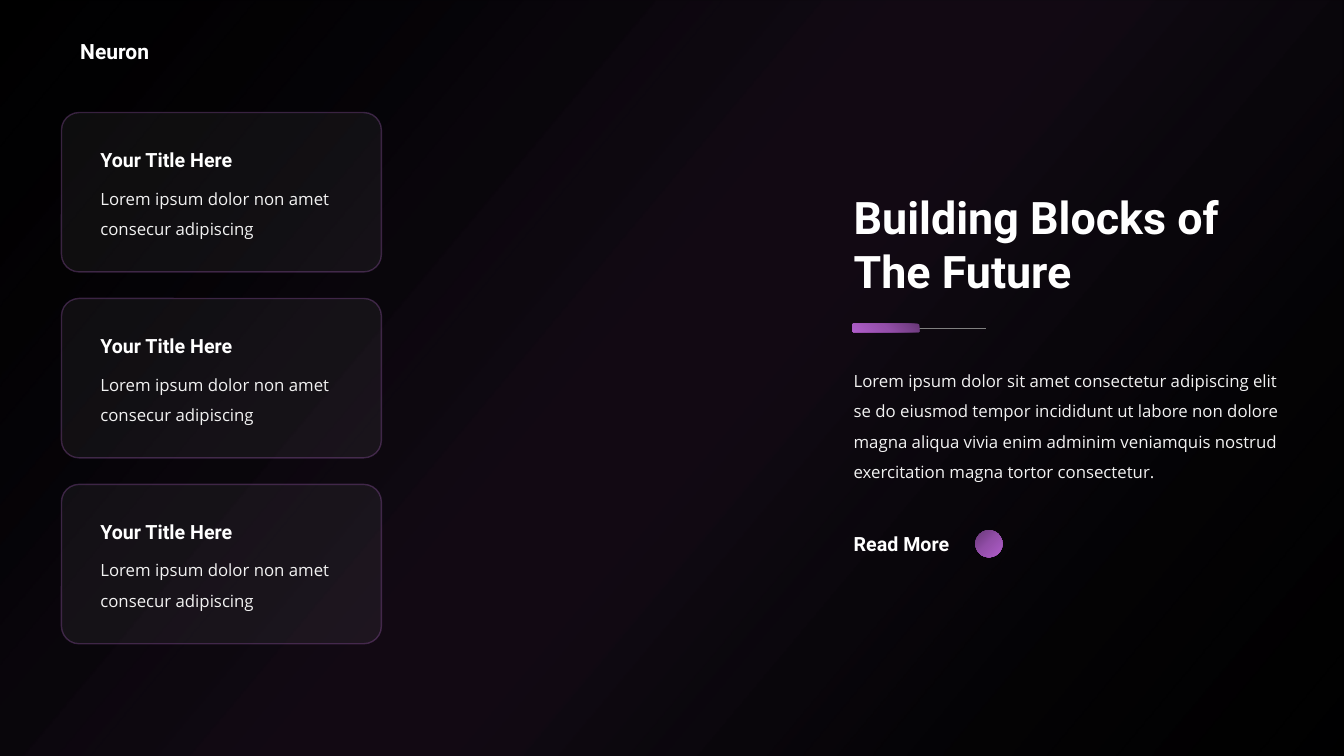
import pptx
import pptx.dml.color
import pptx.enum.dml
import pptx.enum.shapes
import pptx.enum.text
import pptx.oxml
import pptx.oxml.ns
import pptx.util

Pt = pptx.util.Pt
RGB = pptx.dml.color.RGBColor.from_string
SHAPES = pptx.enum.shapes.MSO_SHAPE
COLORS = {
    "black": "000000", "white": "FFFFFF", "body": "F2F2F2", "gray": "808080",
    "violet": "AC65C3", "indigo": "381F5F", "navy": "1F2232",
    "plum": "683878", "purple": "944FAA", "orchid": "B05ECA",
}
FORMATS = {
    "logo": {"name": "Roboto", "size": Pt(15), "bold": True},
    "heading": {"name": "Roboto", "size": Pt(32), "bold": True},
    "label": {"name": "Roboto", "size": Pt(14), "bold": True},
    "body": {"name": "Open Sans", "size": Pt(12), "bold": False},
}
# Gradient stops: position %, colour, opacity %
GLOW = [(2, "indigo", 0), (45, "violet", 10), (55, "violet", 10), (100, "navy", 0)]
ACCENT = [(0, "plum", 100), (50, "purple", 100), (100, "orchid", 100)]

presentation = pptx.Presentation()
presentation.slide_width, presentation.slide_height = Pt(960), Pt(540)
slide = presentation.slides.add_slide(presentation.slide_layouts[6])
slide.background.fill.solid()
slide.background.fill.fore_color.rgb = RGB(COLORS["black"])


def add_text(text, style, left, top, width, height):
    box = slide.shapes.add_textbox(Pt(left), Pt(top), Pt(width), Pt(height))
    box.text_frame.word_wrap = True
    box.text_frame.auto_size = pptx.enum.text.MSO_AUTO_SIZE.SHAPE_TO_FIT_TEXT
    paragraph = box.text_frame.paragraphs[0]
    run = paragraph.add_run()
    run.text = text
    for attribute, value in FORMATS[style].items():
        setattr(run.font, attribute, value)
    run.font.color.rgb = RGB(COLORS["body" if style == "body" else "white"])
    if style == "body":
        paragraph.line_spacing = 1.5


def add_gradient_shape(kind, left, top, width, height, stops, angle):
    """Add a shape without outline, filled by a linear gradient with opacity."""
    shape = slide.shapes.add_shape(kind, Pt(left), Pt(top), Pt(width), Pt(height))
    shape.shadow.inherit = False
    shape.line.fill.background()
    stop_xml = "".join(
        f'<a:gs pos="{position * 1000}"><a:srgbClr val="{COLORS[color]}">'
        f'<a:alpha val="{opacity * 1000}"/></a:srgbClr></a:gs>'
        for position, color, opacity in stops)
    gradient = pptx.oxml.parse_xml(
        f'<a:gradFill {pptx.oxml.ns.nsdecls("a")} rotWithShape="1">'
        f'<a:gsLst>{stop_xml}</a:gsLst>'
        f'<a:lin ang="{angle * 60000}" scaled="0"/></a:gradFill>')
    shape.element.spPr.find(pptx.oxml.ns.qn("a:prstGeom")).addnext(gradient)


add_gradient_shape(SHAPES.RECTANGLE, 0, 0, 960, 540, GLOW, 40)
add_text("Neuron", "logo", 50.2, 23.9, 70, 25.4)

# Cards on the left
CARD_LEFT, CARD_TOP, CARD_PITCH = 43.9, 80.4, 132.8
for index in range(3):
    top = CARD_TOP + index * CARD_PITCH
    card = slide.shapes.add_shape(
        SHAPES.ROUNDED_RECTANGLE, Pt(CARD_LEFT), Pt(top), Pt(228.5), Pt(113.8))
    card.adjustments[0] = 0.11
    card.shadow.inherit = False
    card.fill.solid()
    card.fill.fore_color.rgb = RGB(COLORS["white"])
    card.line.color.rgb = RGB(COLORS["violet"])
    card.line.width = Pt(1)
    card_colors = card.element.spPr.iter(pptx.oxml.ns.qn("a:srgbClr"))
    for color, opacity in zip(card_colors, (5, 30)):
        color.append(pptx.oxml.parse_xml(
            f'<a:alpha {pptx.oxml.ns.nsdecls("a")} val="{opacity * 1000}"/>'))
    add_text("Lorem ipsum dolor non amet consecur adipiscing", "body",
             CARD_LEFT + 20.7, top + 43.4, 186.5, 48.2)
    add_text("Your Title Here", "label", CARD_LEFT + 20.7, top + 21.8, 126, 21.6)

# Message on the right
TEXT_LEFT, TEXT_WIDTH = 602.7, 327
add_text("Building Blocks of The Future", "heading", TEXT_LEFT, 131.8, TEXT_WIDTH, 85)

divider = slide.shapes.add_connector(
    pptx.enum.shapes.MSO_CONNECTOR.STRAIGHT, Pt(704), Pt(234.2), Pt(656.8), Pt(234.2))
divider.line.color.rgb = RGB(COLORS["gray"])
divider.line.width = Pt(0.5)
divider.element.spPr.append(
    pptx.oxml.parse_xml(f'<a:effectLst {pptx.oxml.ns.nsdecls("a")}/>'))
add_gradient_shape(SHAPES.ROUNDED_RECTANGLE, 609, 231.1, 47.8, 6.2, ACCENT, 135)

add_text("Lorem ipsum dolor sit amet consectetur adipiscing elit se do eiusmod tempor "
         "incididunt ut labore non dolore magna aliqua vivia enim adminim veniamquis "
         "nostrud exercitation magna tortor consectetur.",
         "body", TEXT_LEFT, 254.2, TEXT_WIDTH, 92.2)
add_text("Read More", "label", TEXT_LEFT, 376.6, 106, 24.5)
add_gradient_shape(SHAPES.OVAL, 696.7, 378.7, 19.4, 19.4, ACCENT, 45)

presentation.save("out.pptx")
